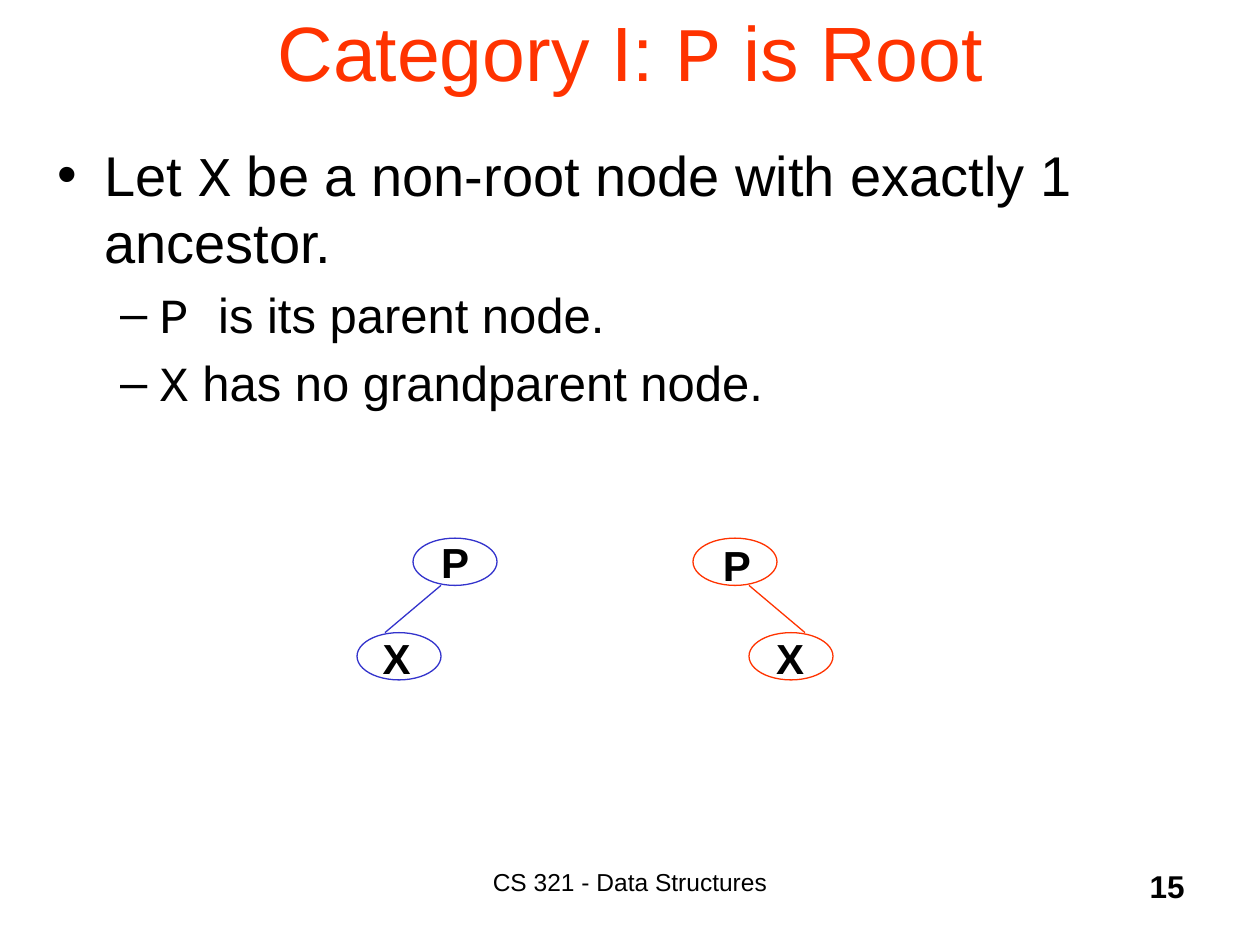
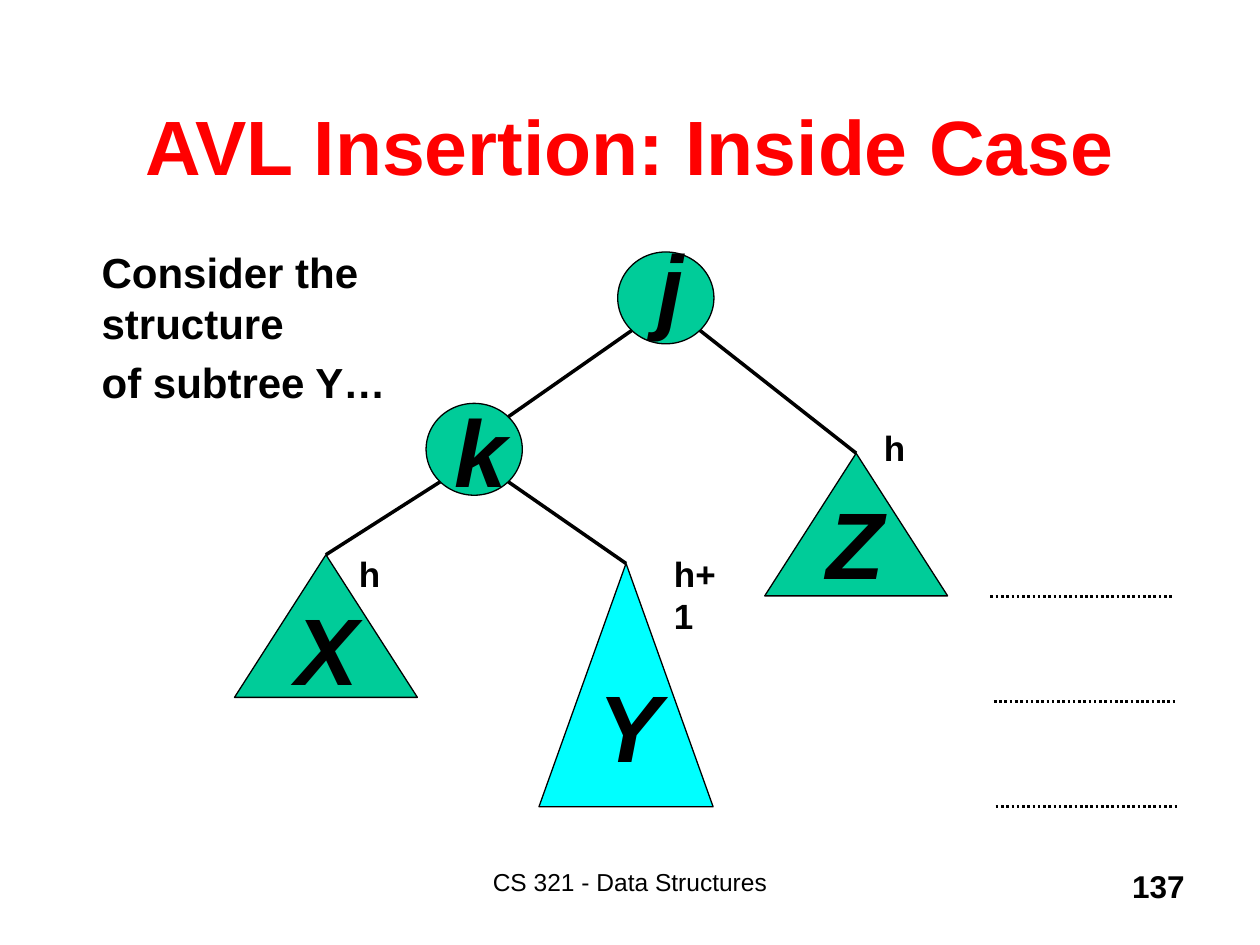
from dataclasses import dataclass

from lxml import etree
from pptx import Presentation
from pptx.dml.color import RGBColor
from pptx.enum import dml, shapes, text
from pptx.oxml import ns
from pptx.util import Pt


@dataclass(frozen=True)
class Theme:
    sans: str = "Arial"
    mono: str = "Courier New"
    ink: str = "000000"
    blue: str = "3333CC"
    orange: str = "FF3300"
    red: str = "FF0000"
    green: str = "00CC99"
    cyan: str = "00FFFF"
    title: int = 44
    body: int = 32
    sub: int = 28
    label: int = 24
    height: int = 20
    letter: int = 54
    footer: int = 14
    number: int = 18
    thin: float = 0.75
    dotted: float = 1.5
    edge: float = 2


T = Theme()
SHAPE = shapes.MSO_SHAPE
ALIGN = text.PP_ALIGN
NODE_W, NODE_H = 48, 27
CIRCLE_W, CIRCLE_H = 55, 52.5


def add_run(p, words, size, color=T.ink, font=T.sans, bold=False, italic=False):
    r = p.add_run()
    r.text = words
    f = r.font
    f.name, f.size, f.bold, f.italic = font, Pt(size), bold, italic
    f.color.rgb = RGBColor.from_string(color)


def add_text(s, box, paragraphs, size, align=ALIGN.LEFT, gap=0, **style):
    tf = s.shapes.add_textbox(*map(Pt, box)).text_frame
    tf.word_wrap = True
    for i, words in enumerate(paragraphs):
        p = tf.paragraphs[0] if i == 0 else tf.add_paragraph()
        p.alignment = align
        p.space_before = Pt(gap)
        add_run(p, words, size, **style)


def add_title(s, top, parts, color, bold=False):
    sp = s.shapes.title
    sp.left, sp.top, sp.width, sp.height = map(Pt, (52.5, top, 615.5, 63.5))
    tf = sp.text_frame
    tf.word_wrap = True
    tf.auto_size = text.MSO_AUTO_SIZE.NONE
    tf.vertical_anchor = text.MSO_ANCHOR.MIDDLE
    p = tf.paragraphs[0]
    p.alignment = ALIGN.CENTER
    for words, font in parts:
        add_run(p, words, T.title, color, font, bold)


def add_bullets(s, box, items):
    tf = s.shapes.add_textbox(*map(Pt, box)).text_frame
    tf.word_wrap = True
    levels = ((T.body, "•", 27, -27), (T.sub, "–", 58.5, -22.5))
    for i, (level, parts) in enumerate(items):
        size, mark, margin, indent = levels[level]
        p = tf.paragraphs[0] if i == 0 else tf.add_paragraph()
        p.level = level
        p.space_before = Pt(size * 0.2)
        for words, font in parts:
            add_run(p, words, size, font=font)
        pr = p._p.get_or_add_pPr()
        pr.set("marL", str(Pt(margin)))
        pr.set("indent", str(Pt(indent)))
        etree.SubElement(pr, ns.qn("a:buFont")).set("typeface", T.sans)
        etree.SubElement(pr, ns.qn("a:buChar")).set("char", mark)


def add_figure(s, kind, box, line=T.ink, fill=None):
    sp = s.shapes.add_shape(kind, *map(Pt, box))
    sp.shadow.inherit = False
    sp.line.color.rgb = RGBColor.from_string(line)
    sp.line.width = Pt(T.thin)
    if fill:
        sp.fill.solid()
        sp.fill.fore_color.rgb = RGBColor.from_string(fill)
    else:
        sp.fill.background()
    return sp


def add_line(s, start, end, width, color=T.ink, dash=None):
    c = s.shapes.add_connector(shapes.MSO_CONNECTOR.STRAIGHT, *map(Pt, (*start, *end)))
    c.line.color.rgb = RGBColor.from_string(color)
    c.line.width = Pt(width)
    if dash:
        c.line.dash_style = dash
    etree.SubElement(c._element.spPr, ns.qn("a:effectLst"))
    return c


def add_footer(s, number):
    add_text(s, (222, 492, 276, 36), ["CS 321 - Data Structures"], T.footer, ALIGN.CENTER)
    add_text(s, (534, 492, 150, 36), [number], T.number, ALIGN.RIGHT, bold=True)


def add_node_pair(s, parent_x, side, color):
    parent_y, child_y = 307.5, 361.5
    child_x = parent_x + 32 * side
    port = NODE_W / 2 + 8 * side
    parent = add_figure(s, SHAPE.OVAL, (parent_x, parent_y, NODE_W, NODE_H), color)
    add_figure(s, SHAPE.OVAL, (child_x, child_y, NODE_W, NODE_H), color)
    add_line(s, (parent_x + port, parent_y + NODE_H), (child_x + port, child_y), T.thin, color)
    return parent


def center_label(sp, words):
    tf = sp.text_frame
    tf.word_wrap = False
    tf.vertical_anchor = text.MSO_ANCHOR.MIDDLE
    p = tf.paragraphs[0]
    p.alignment = ALIGN.CENTER
    add_run(p, words, T.label, bold=True)


def circle_port(x, y, dx, dy):
    reach = 0.354
    return (x + CIRCLE_W * (0.5 + reach * dx), y + CIRCLE_H * (0.5 + reach * dy))


def root_slide(prs):
    s = prs.slides.add_slide(prs.slide_layouts[5])
    add_title(s, -3, [("Category I: ", T.sans), ("P", T.mono), (" is Root", T.sans)], T.orange)
    add_bullets(s, (25.5, 76.5, 682.5, 174), [
        (0, [("Let ", T.sans), ("X", T.mono),
             (" be a non-root node with exactly 1 ancestor.", T.sans)]),
        (1, [("P ", T.mono), ("is its parent node.", T.sans)]),
        (1, [("X", T.mono), (" has no grandparent node.", T.sans)]),
    ])
    center_label(add_node_pair(s, 236, -1, T.blue), "P")
    add_node_pair(s, 396, 1, T.orange)
    for words, x, y, w in (("X", 211.5, 358, 32), ("P", 406, 304.5, 32), ("X", 436.5, 358, 42)):
        add_text(s, (x, y, w, 36), [words], T.label, bold=True)
    add_footer(s, "15")


def insertion_slide(prs):
    s = prs.slides.add_slide(prs.slide_layouts[5])
    add_title(s, 51, [("AVL Insertion: Inside Case", T.sans)], T.red, bold=True)
    add_text(s, (51, 137.5, 250.5, 65), ["Consider the structure", "of subtree Y…"],
             T.label, gap=4.8, bold=True)

    j, k = (353, 144), (243.5, 230.5)
    for corner in (j, k):
        add_figure(s, SHAPE.OVAL, (*corner, CIRCLE_W, CIRCLE_H), fill=T.green)
    x_tree, y_tree, z_tree = (
        add_figure(s, SHAPE.ISOSCELES_TRIANGLE, box, fill=fill)
        for box, fill in (
            ((134, 317, 104.5, 81.5), T.green),
            ((308, 322, 99.5, 139), T.cyan),
            ((437, 259, 104.5, 81.5), T.green),
        )
    )
    add_line(s, circle_port(*j, -1, 1), circle_port(*k, 1, -1), T.edge)
    for parent, side, subtree in ((k, -1, x_tree), (k, 1, y_tree), (j, 1, z_tree)):
        start = circle_port(*parent, side, 1)
        add_line(s, start, start, T.edge).end_connect(subtree, 0)

    for words, x, y in (("j", 368.5, 126.5), ("k", 252.5, 221), ("X", 162, 334),
                        ("Y", 335, 378), ("Z", 465, 273.5)):
        add_text(s, (x, y, 33, 72), [words], T.letter, bold=True, italic=True)
    for words, x, y, w in (("h", 498, 240, 26), ("h+1", 378, 312, 48), ("h", 198, 312, 25)):
        add_text(s, (x, y, w, 31.5), [words], T.height, bold=True)
    for x, y in ((566, 341), (568, 401), (569, 461)):
        add_line(s, (x, y), (x + 104.5, y), T.dotted, dash=dml.MSO_LINE.ROUND_DOT)
    add_footer(s, "137")


def main():
    prs = Presentation()
    prs.slide_width, prs.slide_height = Pt(720), Pt(540)
    root_slide(prs)
    insertion_slide(prs)
    prs.save("out.pptx")


if __name__ == "__main__":
    main()
